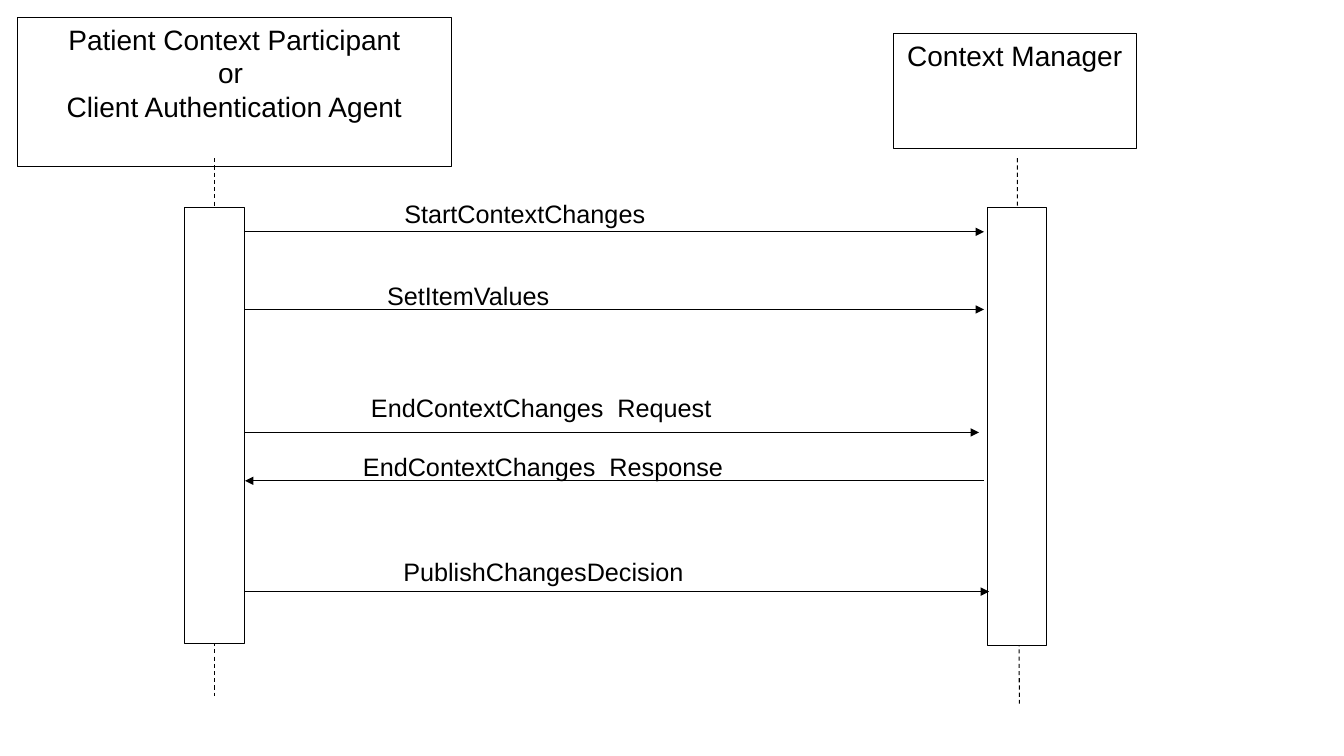
import dataclasses

import pptx
import pptx.dml.color
import pptx.enum.dml
import pptx.enum.shapes
import pptx.enum.text
import pptx.oxml.xmlchemy
import pptx.util

PX = 9144  # 100 px to the inch


@dataclasses.dataclass(frozen=True)
class Theme:
    font: str = "Arial"
    ink: pptx.dml.color.RGBColor = pptx.dml.color.RGBColor(0, 0, 0)
    paper: pptx.dml.color.RGBColor = pptx.dml.color.RGBColor(255, 255, 255)
    head: pptx.util.Length = pptx.util.Pt(20)
    label: pptx.util.Length = pptx.util.Pt(18)
    rule: pptx.util.Length = pptx.util.Pt(0.75)


THEME = Theme()


def emu(*sizes):
    return [pptx.util.Emu(size * PX) for size in sizes]


def apply(target, values):
    for name, value in values.items():
        setattr(target, name, value)


def write(frame, lines, size, align):
    """Fill a text frame, one paragraph a line; \\v breaks a line."""
    apply(frame, {"word_wrap": True,
                  "vertical_anchor": pptx.enum.text.MSO_ANCHOR.TOP})
    for i, line in enumerate(lines):
        para = frame.add_paragraph() if i else frame.paragraphs[0]
        para.text = line
        para.alignment = align
        for run in para.runs:
            apply(run.font, {"name": THEME.font, "size": size})
            run.font.color.rgb = THEME.ink


def draw_box(slide, area, lines=()):
    box = slide.shapes.add_shape(
        pptx.enum.shapes.MSO_SHAPE.RECTANGLE, *emu(*area))
    box.shadow.inherit = False
    box.fill.solid()
    box.fill.fore_color.rgb = THEME.paper
    box.line.color.rgb = THEME.ink
    box.line.width = THEME.rule
    write(box.text_frame, lines, THEME.head, pptx.enum.text.PP_ALIGN.CENTER)


def draw_line(slide, start, end):
    line = slide.shapes.add_connector(
        pptx.enum.shapes.MSO_CONNECTOR.STRAIGHT, *emu(*start, *end))
    line.line.color.rgb = THEME.ink
    line.line.width = THEME.rule
    add_mark(line.element.spPr, "effectLst")
    return line


def add_mark(parent, tag, **values):
    mark = pptx.oxml.xmlchemy.OxmlElement("a:" + tag)
    for name, value in values.items():
        mark.set(name, value)
    parent.append(mark)


def draw_life(slide, start, end):
    life = draw_line(slide, start, end)
    life.line.dash_style = pptx.enum.dml.MSO_LINE.DASH


def draw_call(slide, start, end, y):
    call = draw_line(slide, (start, y), (end, y))
    add_mark(call.line._get_or_add_ln(), "tailEnd", type="triangle")


def draw_label(slide, text, area):
    box = slide.shapes.add_textbox(*emu(*area))
    apply(box.text_frame, dict.fromkeys(
        ("margin_left", "margin_top", "margin_right", "margin_bottom"), 0))
    write(box.text_frame, [text], THEME.label, pptx.enum.text.PP_ALIGN.LEFT)


def main():
    deck = pptx.Presentation()
    deck.slide_width, deck.slide_height = emu(1333, 750)
    slide = deck.slides.add_slide(deck.slide_layouts[6])

    actors = [
        ((17, 17, 431, 148),
         ["Patient Context Participant\vor ", "Client Authentication Agent"],
         ((213, 157), (213, 690)), (183, 206, 60, 432)),
        ((886, 33, 241, 114), ["Context Manager"],
         ((1009, 157), (1011, 698)), (979, 206, 59, 434)),
    ]
    for head, lines, life, bar in actors:
        draw_box(slide, head, lines)
        draw_life(slide, *life)
        draw_box(slide, bar)

    calls = [
        ("StartContextChanges", (401, 197, 362, 34), 242, 976, 230),
        ("SetItemValues", (384, 278, 362, 36), 243, 976, 307),
        ("EndContextChanges  Request", (368, 389, 520, 36), 243, 971, 429),
        ("EndContextChanges  Response", (360, 448, 472, 41), 976, 243, 477),
        ("PublishChangesDecision", (400, 552, 482, 34), 243, 981, 587),
    ]
    for text, area, start, end, y in calls:
        draw_call(slide, start, end, y)
        draw_label(slide, text, area)

    deck.save("out.pptx")


if __name__ == "__main__":
    main()
